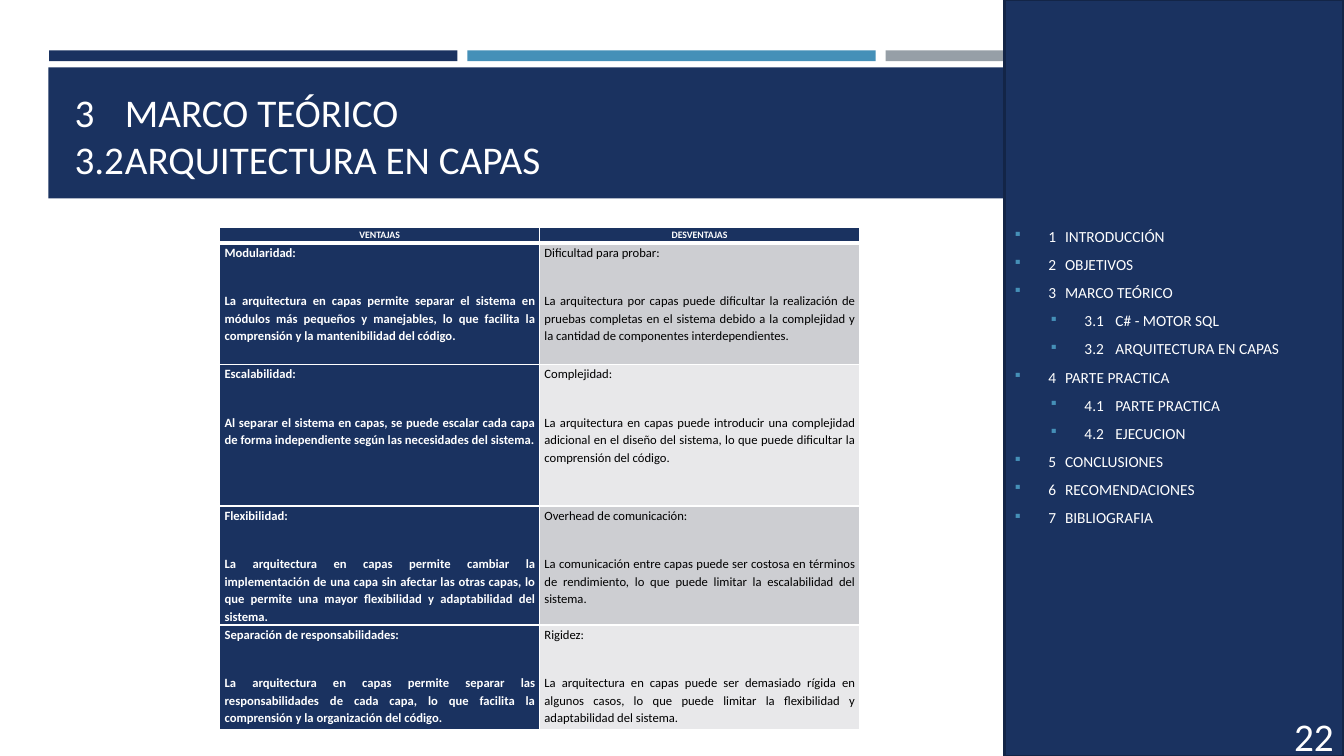
from pptx import Presentation
from pptx import util as u
from pptx.dml.color import RGBColor
from pptx.enum import shapes, text
from pptx.oxml.ns import qn
from lxml import etree

NAVY = RGBColor(0x1A, 0x32, 0x60)
EDGE = RGBColor(0x13, 0x25, 0x47)
BLUE = RGBColor(0x45, 0x90, 0xB8)
GRAY = RGBColor(0x96, 0x9F, 0xA7)
DARK_ROW = RGBColor(0xCD, 0xCE, 0xD2)
LIGHT_ROW = RGBColor(0xE8, 0xE8, 0xEA)
WHITE = RGBColor(0xFF, 0xFF, 0xFF)
BLACK = RGBColor(0, 0, 0)

INDEX = [
    (0, "1\tINTRODUCCIÓN"), (0, "2\tOBJETIVOS"), (0, "3\tMARCO TEÓRICO"),
    (1, "3.1\tC# - MOTOR SQL"), (1, "3.2\tARQUITECTURA EN CAPAS"),
    (0, "4\tPARTE PRACTICA"), (1, "4.1\tPARTE PRACTICA"), (1, "4.2\tEJECUCION"),
    (0, "5\tCONCLUSIONES"), (0, "6\tRECOMENDACIONES"), (0, "7\tBIBLIOGRAFIA"),
]

# Each row: height in cm, advantage, disadvantage
ROWS = [
    (0.38, ["VENTAJAS"], ["DESVENTAJAS"]),
    (3.07,
     ["Modularidad:",
      "La arquitectura en capas permite separar el sistema en módulos más pequeños y "
      "manejables, lo que facilita la comprensión y la mantenibilidad del código."],
     ["Dificultad para probar:",
      "La arquitectura por capas puede dificultar la realización de pruebas completas en el "
      "sistema debido a la complejidad y la cantidad de componentes interdependientes."]),
    (3.56,
     ["Escalabilidad:",
      "Al separar el sistema en capas, se puede escalar cada capa de forma independiente "
      "según las necesidades del sistema."],
     ["Complejidad:",
      "La arquitectura en capas puede introducir una complejidad adicional en el diseño del "
      "sistema, lo que puede dificultar la comprensión del código."]),
    (3,
     ["Flexibilidad:",
      "La arquitectura en capas permite cambiar la implementación de una capa sin afectar las "
      "otras capas, lo que permite una mayor flexibilidad y adaptabilidad del sistema."],
     ["Overhead de comunicación:",
      "La comunicación entre capas puede ser costosa en términos de rendimiento, lo que puede "
      "limitar la escalabilidad del sistema."]),
    (2.64,
     ["Separación de responsabilidades:",
      "La arquitectura en capas permite separar las responsabilidades de cada capa, lo que "
      "facilita la comprensión y la organización del código."],
     ["Rigidez:",
      "La arquitectura en capas puede ser demasiado rígida en algunos casos, lo que puede "
      "limitar la flexibilidad y adaptabilidad del sistema."]),
]


def add_run(p, words, size, color=WHITE, bold=False):
    r = p.add_run()
    r.text = words
    r.font.name = "Calibri"
    r.font.size = u.Pt(size)
    r.font.bold = bold
    r.font.color.rgb = color


def add_rect(s, x, y, w, h, fill):
    sp = s.shapes.add_shape(shapes.MSO_SHAPE.RECTANGLE, u.Cm(x), u.Cm(y), u.Cm(w), u.Cm(h))
    sp.shadow.inherit = False
    sp.fill.solid()
    sp.fill.fore_color.rgb = fill
    sp.line.fill.background()
    return sp


def add_text(s, x, y, w, h, lines, anchor, align):
    tf = s.shapes.add_textbox(u.Cm(x), u.Cm(y), u.Cm(w), u.Cm(h)).text_frame
    tf.word_wrap = True
    tf.vertical_anchor = anchor
    p = tf.paragraphs[0]
    p.alignment = align
    for i, line in enumerate(lines):
        if i:
            p.add_line_break()
        add_run(p, line, 28)


def add_bullet(p, level):
    pPr = p._p.get_or_add_pPr()
    pPr.set("marL", str(u.Cm(0.85 + 0.91 * level)))
    pPr.set("indent", str(-u.Cm(0.85)))
    color = etree.SubElement(pPr, qn("a:buClr"))
    etree.SubElement(color, qn("a:srgbClr"), val=str(BLUE))
    etree.SubElement(pPr, qn("a:buSzPct"), val="92000")
    # In this symbol font the section sign is a small square
    etree.SubElement(pPr, qn("a:buFont"), typeface="Wingdings", charset="2")
    etree.SubElement(pPr, qn("a:buChar"), char="§")


def add_index(s):
    sp = add_rect(s, 25.32, 0, 8.53, 19.05, NAVY)
    sp.line.color.rgb = EDGE
    sp.line.width = u.Pt(1.75)
    tf = sp.text_frame
    tf.word_wrap = True
    tf.vertical_anchor = text.MSO_ANCHOR.MIDDLE
    for i, (level, entry) in enumerate(INDEX):
        p = tf.add_paragraph() if i else tf.paragraphs[0]
        p.alignment = text.PP_ALIGN.LEFT
        p.level = level
        p.line_spacing = 0.9
        p.space_before = u.Pt(2.2 if i else 0)
        p.space_after = u.Pt(6)
        add_bullet(p, level)
        add_run(p, entry, 11)


def set_borders(cell, bottom):
    tcPr = cell._tc.get_or_add_tcPr()
    for i, (side, width) in enumerate((("L", 1), ("R", 1), ("T", 1), ("B", bottom))):
        ln = etree.Element(qn("a:ln" + side), w=str(u.Pt(width)))
        fill = etree.SubElement(ln, qn("a:solidFill"))
        etree.SubElement(fill, qn("a:srgbClr"), val=str(WHITE))
        tcPr.insert(i, ln)


def fill_cell(cell, paragraphs, fill, size, color, bold, align):
    cell.fill.solid()
    cell.fill.fore_color.rgb = fill
    cell.margin_left = cell.margin_right = u.Cm(0.12)
    cell.margin_top = cell.margin_bottom = 0
    for i, words in enumerate(paragraphs):
        p = cell.text_frame.add_paragraph() if i else cell.text_frame.paragraphs[0]
        p.alignment = align
        p.line_spacing = 1.15
        p.space_before = u.Pt(6 if i else 0)
        p.space_after = u.Pt(16)
        add_run(p, words, size, color, bold)


def add_comparison(s):
    height = sum(row[0] for row in ROWS)
    table = s.shapes.add_table(len(ROWS), 2, u.Cm(5.54), u.Cm(5.74),
                               u.Cm(16.12), u.Cm(height)).table
    for r, (row_height, *cells) in enumerate(ROWS):
        table.rows[r].height = u.Cm(row_height)
        for c, paragraphs in enumerate(cells):
            cell = table.cell(r, c)
            if r == 0:
                fill_cell(cell, paragraphs, NAVY, 7, WHITE, True, text.PP_ALIGN.CENTER)
            elif c == 0:
                fill_cell(cell, paragraphs, NAVY, 9, WHITE, True, text.PP_ALIGN.JUSTIFY)
            else:
                fill_cell(cell, paragraphs, DARK_ROW if r % 2 else LIGHT_ROW, 9, BLACK,
                          False, text.PP_ALIGN.JUSTIFY)
            set_borders(cell, 1 if r else 3)


def main():
    prs = Presentation()
    prs.slide_width, prs.slide_height = u.Cm(33.87), u.Cm(19.05)
    s = prs.slides.add_slide(prs.slide_layouts[6])

    # Top stripes and title band
    for i, color in enumerate((NAVY, BLUE, GRAY)):
        add_rect(s, 1.24 + 10.54 * i, 1.27, 10.29, 0.27, color)
    add_rect(s, 1.22, 1.7, 31.42, 3.3, NAVY)
    add_text(s, 1.63, 1.9, 30.63, 2.82, ["3\tMARCO TEÓRICO", "3.2\tARQUITECTURA EN CAPAS"],
             text.MSO_ANCHOR.BOTTOM, text.PP_ALIGN.LEFT)

    # Side index and slide number
    add_index(s)
    add_text(s, 30.94, 18.03, 2.92, 1.02, ["22"], text.MSO_ANCHOR.MIDDLE, text.PP_ALIGN.RIGHT)

    # Advantages and disadvantages
    add_comparison(s)

    prs.save("out.pptx")


if __name__ == "__main__":
    main()
